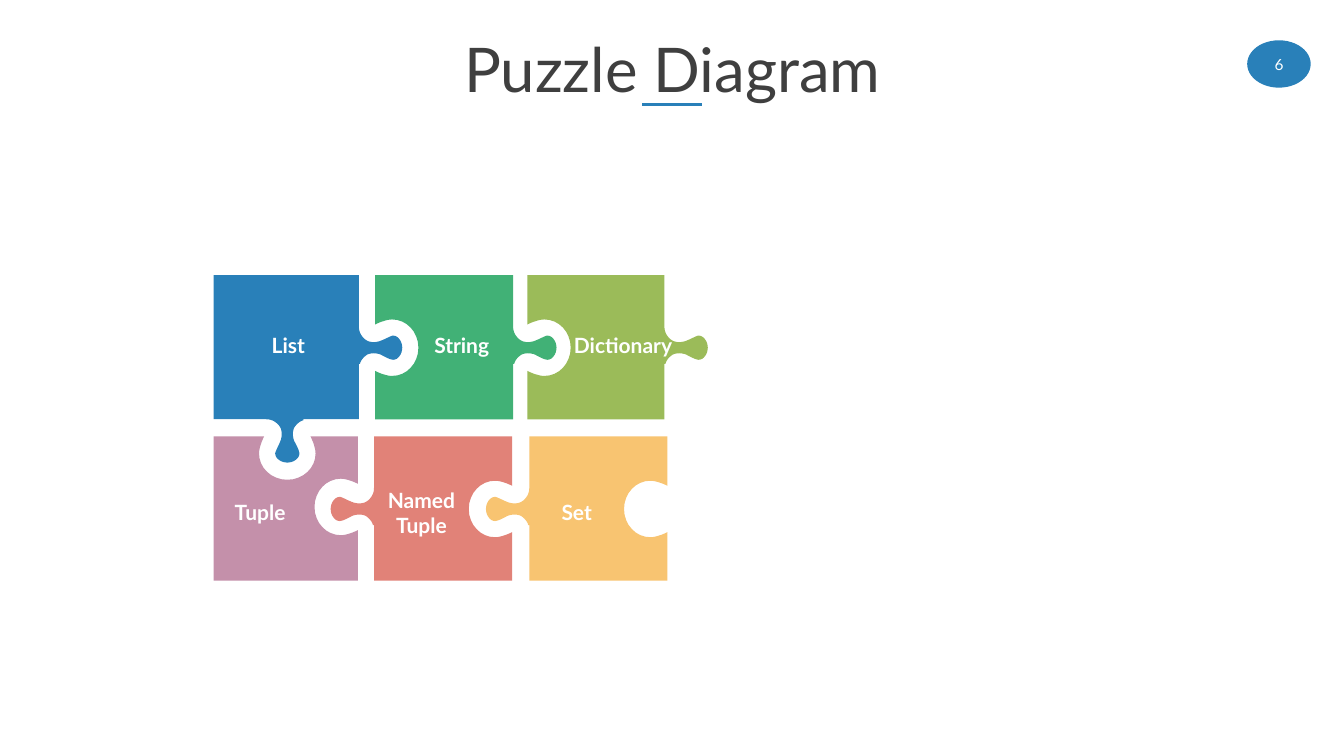
"""Build the puzzle diagram slide with six interlocking pieces."""
from lxml import etree
from pptx import Presentation, util as u
from pptx.dml import color
from pptx.enum import shapes, text
from pptx.oxml import ns

HUES = {"blue": "2980B9", "green": "41B176", "lime": "9BBB59", "mauve": "C490AA",
        "coral": "E18278", "gold": "F8C471", "dark": "3F3F3F", "white": "FFFFFF"}


def paint(hue):
    return color.RGBColor.from_string(HUES[hue])


def write(words, box, size=15, hue="white", bold=False, wrap=True, space=None):
    frame = slide.shapes.add_textbox(*map(u.Inches, box)).text_frame
    frame.word_wrap = wrap
    frame.vertical_anchor = text.MSO_ANCHOR.MIDDLE
    frame.text = words
    for para in frame.paragraphs:
        para.alignment = text.PP_ALIGN.CENTER
        para.line_spacing = space
        font = para.runs[0].font
        font.name, font.size, font.bold = "Lato", u.Pt(size), bold
        font.color.rgb = paint(hue)


deck = Presentation()
deck.slide_width, deck.slide_height = u.Inches(13.33), u.Inches(7.5)
slide = deck.slides.add_slide(deck.slide_layouts[6])

badge = slide.shapes.add_shape(shapes.MSO_SHAPE.OVAL, *map(u.Inches, (12.37, 0.4, 0.63, 0.47)))
badge.shadow.inherit = False
badge.fill.solid()
badge.fill.fore_color.rgb = paint("blue")
badge.line.fill.background()
rule = slide.shapes.add_connector(shapes.MSO_CONNECTOR.STRAIGHT,
                                  *map(u.Inches, (6.37, 1.04, 6.96, 1.04)))
rule.line.color.rgb = paint("blue")
rule.line.width = u.Pt(2)
etree.SubElement(rule._element.spPr, ns.qn("a:effectLst"))
write("Puzzle Diagram", (0.92, 0.32, 11.5, 0.79), size=44, hue="dark", space=0.9)
write("6", (12.04, 0.44, 1.29, 0.4), size=11)

# Bezier chains as (outward depth, offset along the edge)
curves = {
    "tab": [(0, -0.21), (0, -0.15), (0.03, -0.1), (0.08, -0.07),
            (0.12, -0.05), (0.17, -0.05), (0.22, -0.07),
            (0.27, -0.09), (0.32, -0.12), (0.34, -0.12),
            (0.39, -0.12), (0.43, -0.06), (0.43, 0),
            (0.43, 0.06), (0.39, 0.12), (0.34, 0.12),
            (0.32, 0.12), (0.27, 0.1), (0.22, 0.07),
            (0.17, 0.05), (0.12, 0.05), (0.08, 0.07),
            (0.05, 0.09), (0.02, 0.12), (0.01, 0.16)],
    "hole": [(0, -0.23), (-0.04, -0.25), (-0.11, -0.28), (-0.17, -0.28),
             (-0.31, -0.28), (-0.43, -0.16), (-0.43, 0),
             (-0.43, 0.16), (-0.31, 0.28), (-0.17, 0.28),
             (-0.11, 0.28), (-0.04, 0.25), (0, 0.23)],
}
knobs = {}
for kind, chain in curves.items():
    knobs[kind] = [chain[0]]
    for k in range(0, len(chain) - 1, 3):
        for step in range(1, 9):
            t = step / 8
            mix = ((1 - t) ** 3, 3 * t * (1 - t) ** 2, 3 * t * t * (1 - t), t ** 3)
            knobs[kind].append(tuple(sum(m * p[axis] for m, p in zip(mix, chain[k:k + 4]))
                                     for axis in (0, 1)))
    if kind == "tab":
        knobs[kind].append((0, 0.16))

TOP, RIGHT, BASE, LEFT = range(4)
rows = ((2.73, 4.16), (4.33, 5.76))
pieces = [
    ("Named\nTuple", "coral", 1, 3.71, 5.08, {RIGHT: ("hole", 5.05), LEFT: ("tab", 5.05)},
     (3.72, 4.78, 0.92, 0.61)),
    ("Set", "gold", 1, 5.25, 6.62, {RIGHT: ("hole", 5.05), LEFT: ("tab", 5.05)},
     (5.46, 4.91, 0.52, 0.35)),
    ("Dictionary", "lime", 0, 5.23, 6.59, {RIGHT: ("tab", 3.45), LEFT: ("hole", 3.45)},
     (5.56, 3.25, 1.24, 0.35)),
    ("String", "green", 0, 3.72, 5.09, {RIGHT: ("tab", 3.45), LEFT: ("hole", 3.45)},
     (4.18, 3.25, 0.8, 0.35)),
    ("List", "blue", 0, 2.12, 3.56, {RIGHT: ("tab", 3.45), BASE: ("tab", 2.85)},
     (2.59, 3.25, 0.54, 0.35)),
    ("Tuple", "mauve", 1, 2.12, 3.55, {TOP: ("hole", 2.85), RIGHT: ("hole", 5.03)},
     (2.21, 4.91, 0.74, 0.35)),
]
for name, hue, row, left, right, joins, box in pieces:
    top, base = rows[row]
    edges = (top, right, base, left)
    spots = []
    for side, corner in enumerate([(left, top), (right, top), (right, base), (left, base)]):
        spots.append(corner)
        if side in joins:
            kind, mid = joins[side]
            sign = 1 if side in (RIGHT, BASE) else -1
            for depth, shift in knobs[kind][::1 if side < BASE else -1]:
                spot = (edges[side] + sign * depth, mid + shift)
                spots.append(spot if side in (RIGHT, LEFT) else spot[::-1])
    spots = [(round(x * 1000), round(y * 1000)) for x, y in spots]
    pen = slide.shapes.build_freeform(*spots[0], scale=u.Inches(1) / 1000)
    pen.add_line_segments(spots[1:], close=True)
    piece = pen.convert_to_shape()
    piece.shadow.inherit = False
    piece.fill.solid()
    piece.fill.fore_color.rgb = paint(hue)
    piece.line.fill.background()
    write(name, box, bold=True, wrap=False)

deck.save("out.pptx")
